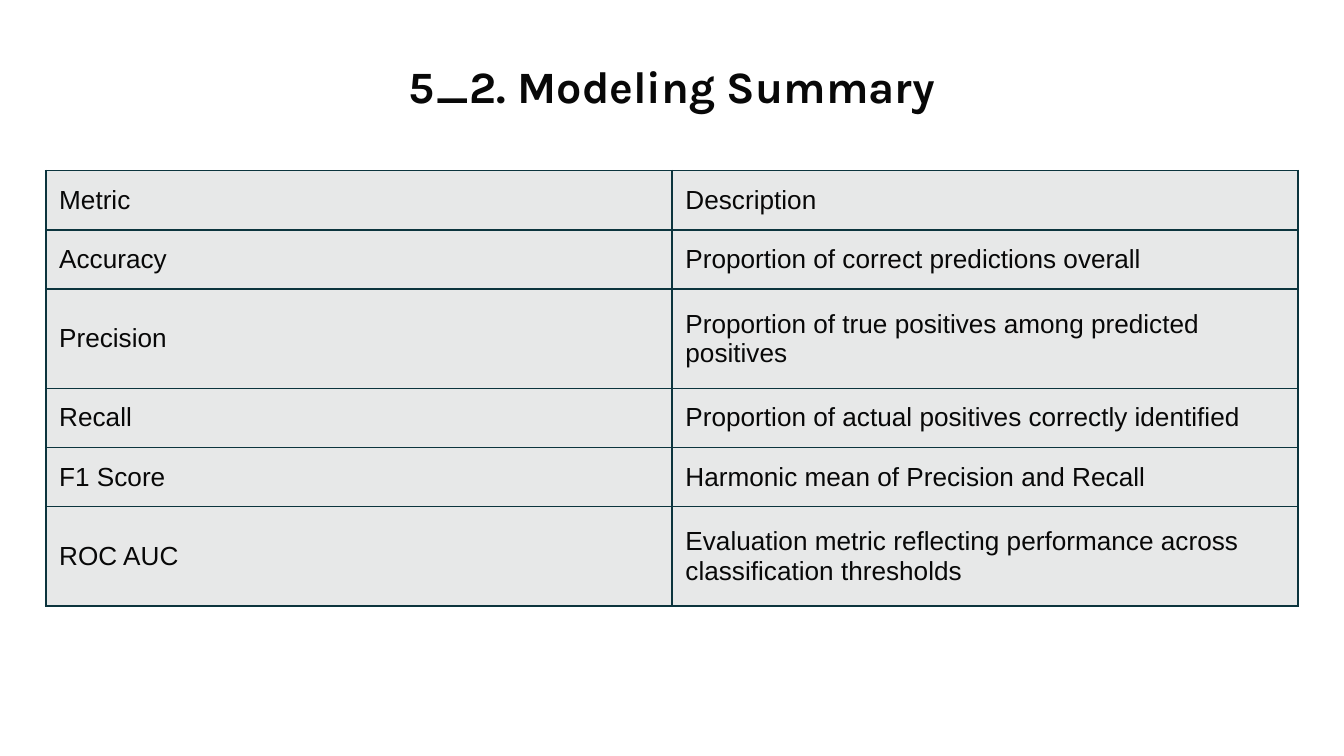
from dataclasses import dataclass

from lxml.etree import SubElement as Sub
from pptx import Presentation
from pptx.dml.color import RGBColor as RGB
from pptx.enum.text import MSO_ANCHOR as Anchor, PP_ALIGN as Align
from pptx.oxml.ns import qn
from pptx.util import Inches, Pt


@dataclass(frozen=True)
class Theme:
    ink: str = "080808"
    fill: str = "E7E8E8"
    rule: str = "0C343D"
    head: str = "Karla"
    body: str = "Arial"
    big: int = 24
    small: int = 14
    line: int = 1
    pad: float = 0.1


THEME = Theme()
WIDE = 10
HIGH = WIDE * 9 / 16
TITLE = "5_2. Modeling Summary"
METRICS = [
    ("Metric", "Description"),
    ("Accuracy", "Proportion of correct predictions overall"),
    ("Precision", "Proportion of true positives among predicted positives"),
    ("Recall", "Proportion of actual positives correctly identified"),
    ("F1 Score", "Harmonic mean of Precision and Recall"),
    ("ROC AUC", "Evaluation metric reflecting performance across "
                "classification thresholds"),
]
ONE, TWO = 0.44, 0.74  # heights of rows with one and two lines
ROWS = [ONE, ONE, TWO, ONE, ONE, TWO]


def style(para, face, size, bold=False):
    for run in para.runs:
        font = run.font
        font.name, font.size, font.bold = face, Pt(size), bold
        font.color.rgb = RGB.from_string(THEME.ink)


def pad(part):
    part.margin_left = part.margin_right = Inches(THEME.pad)
    part.margin_top = part.margin_bottom = Inches(THEME.pad)


def border(cell):
    props = cell._tc.get_or_add_tcPr()
    for side in ("lnL", "lnR", "lnT", "lnB"):
        line = Sub(props, qn(f"a:{side}"), w=str(Pt(THEME.line)))
        Sub(Sub(line, qn("a:solidFill")), qn("a:srgbClr"), val=THEME.rule)


def add_title(slide, box):
    title = slide.shapes.title
    title.left, title.top, title.width, title.height = map(Inches, box)
    frame = title.text_frame
    frame.text = TITLE
    frame.word_wrap = True
    frame.vertical_anchor = Anchor.TOP
    pad(frame)
    para = frame.paragraphs[0]
    para.alignment = Align.CENTER
    style(para, THEME.head, THEME.big, True)


def fill_cell(cell, text):
    cell.text = text
    cell.vertical_anchor = Anchor.MIDDLE
    pad(cell)
    border(cell)
    cell.fill.solid()
    cell.fill.fore_color.rgb = RGB.from_string(THEME.fill)
    style(cell.text_frame.paragraphs[0], THEME.body, THEME.small)


def add_metrics(slide, box):
    cols = len(METRICS[0])
    table = slide.shapes.add_table(len(METRICS), cols, *map(Inches, box)).table
    table.first_row = table.horz_banding = False
    for col in table.columns:
        col.width = Inches(box[2] / cols)
    for row, share, texts in zip(table.rows, ROWS, METRICS):
        row.height = Inches(box[3] * share / sum(ROWS))
        for cell, text in zip(row.cells, texts):
            fill_cell(cell, text)


def main():
    deck = Presentation()
    deck.slide_width, deck.slide_height = Inches(WIDE), Inches(HIGH)
    slide = deck.slides.add_slide(deck.slide_layouts[5])
    edge, side = 0.02 * WIDE, 0.034 * WIDE
    add_title(slide, (edge, 0.06 * HIGH, WIDE - 2 * edge, 0.63))
    add_metrics(slide, (side, 1.27, WIDE - 2 * side, sum(ROWS)))
    deck.save("out.pptx")


if __name__ == "__main__":
    main()
